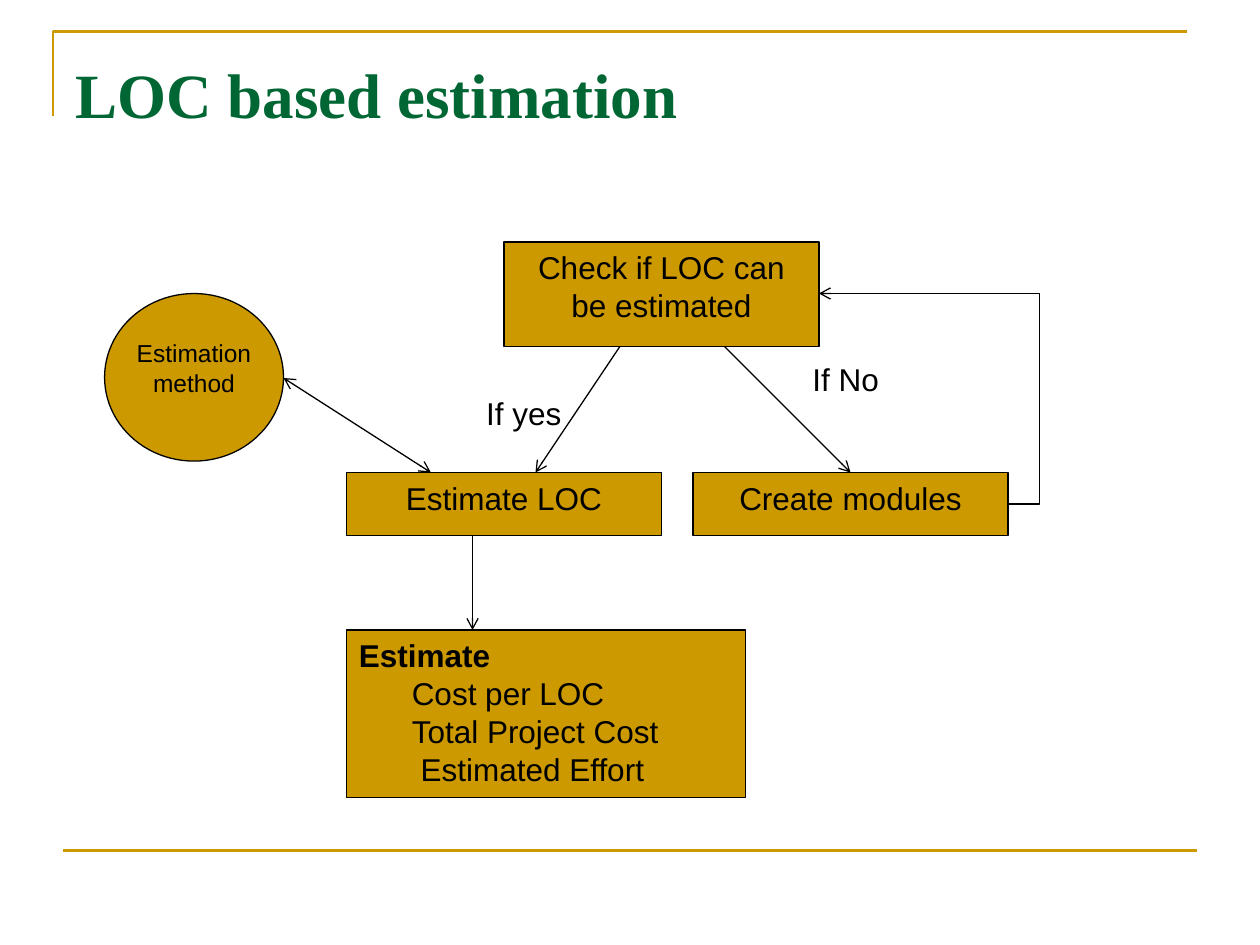
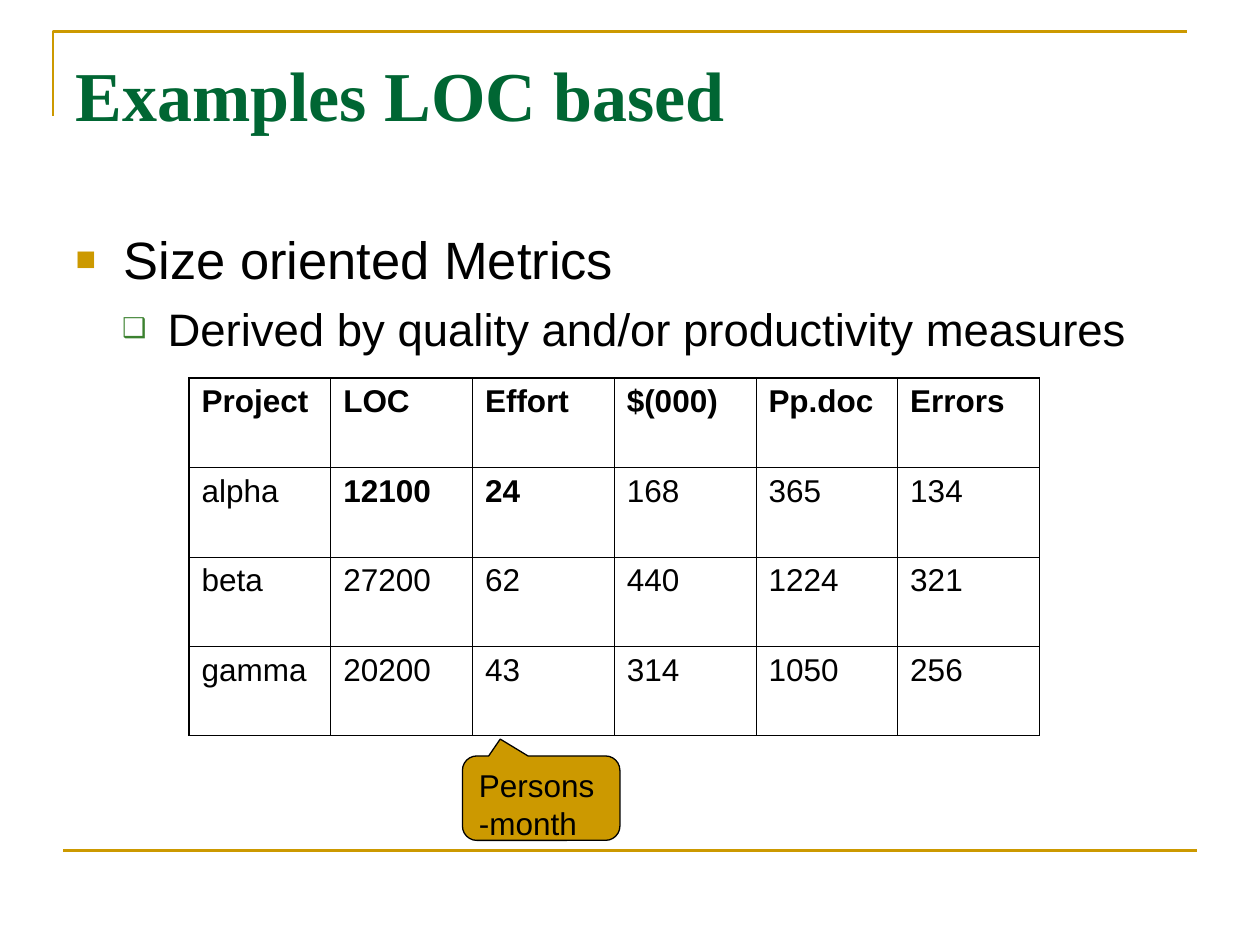
from lxml import etree
from pptx import Presentation
from pptx.dml.color import RGBColor
from pptx.enum.shapes import MSO_CONNECTOR, MSO_SHAPE
from pptx.enum.text import MSO_ANCHOR, MSO_AUTO_SIZE, PP_ALIGN
from pptx.oxml.ns import qn
from pptx.util import Inches, Pt

RECT, OVAL = MSO_SHAPE.RECTANGLE, MSO_SHAPE.OVAL
CALLOUT = MSO_SHAPE.ROUNDED_RECTANGULAR_CALLOUT
STRAIGHT, ELBOW = MSO_CONNECTOR.STRAIGHT, MSO_CONNECTOR.ELBOW
TOP, NO_FIT = MSO_ANCHOR.TOP, MSO_AUTO_SIZE.NONE
LEFT, CENTER, JUSTIFY = PP_ALIGN.LEFT, PP_ALIGN.CENTER, PP_ALIGN.JUSTIFY

GOLD, GREEN, LEAF, BLACK = "CC9900", "006633", "3B812F", "000000"
SANS, SERIF = "Arial", "Times New Roman"
THIN, THICK = 0.45, 1.08

ROWS = [
    ["Project", "LOC", "Effort", "$(000)", "Pp.doc", "Errors"],
    ["alpha", "12100", "24", "168", "365", "134"],
    ["beta", "27200", "62", "440", "1224", "321"],
    ["gamma", "20200", "43", "314", "1050", "256"],
]
BOLD = set(ROWS[0]) | {"12100", "24"}


def rgb(code):
    return RGBColor.from_string(code)


def node(parent, tag, **attrs):
    """Append a drawing element and return it."""
    item = etree.SubElement(parent, qn(tag))
    for name, value in attrs.items():
        item.set(name, str(value))
    return item


def put(target, values):
    for name, value in values.items():
        setattr(target, name, value)


def place(shape, box):
    put(shape, dict(zip(("left", "top", "width", "height"), map(Inches, box))))


def write(frame, lines, size=18, color=BLACK, face=SANS, align=LEFT, wrap=False, inset=0.05):
    """Fill a text frame with lines of (text, bold) or plain text."""
    put(frame, {"word_wrap": wrap, "auto_size": NO_FIT, "vertical_anchor": TOP,
                "margin_left": Inches(0.1), "margin_right": Inches(0.1),
                "margin_top": Inches(inset), "margin_bottom": Inches(0.05)})
    for i, line in enumerate(lines):
        text, bold = line if isinstance(line, tuple) else (line, False)
        para = frame.add_paragraph() if i else frame.paragraphs[0]
        para.alignment = align
        run = para.add_run()
        run.text = text
        put(run.font, {"name": face, "size": Pt(size), "bold": bold})
        run.font.color.rgb = rgb(color)


def stroke(line, color=BLACK, width=0.75):
    line.color.rgb = rgb(color)
    line.width = Pt(width)


def block(slide, kind, box, lines, **style):
    shape = slide.shapes.add_shape(kind, *map(Inches, box))
    shape.shadow.inherit = False
    shape.fill.solid()
    shape.fill.fore_color.rgb = rgb(GOLD)
    stroke(shape.line)
    write(shape.text_frame, lines, **style)
    return shape


def label(slide, box, text):
    write(slide.shapes.add_textbox(*map(Inches, box)).text_frame, [text])


def link(slide, start, end, kind=STRAIGHT, ends=(), color=BLACK, width=0.75):
    """Draw a connector; ends names the ends that carry an arrowhead."""
    wire = slide.shapes.add_connector(kind, *map(Inches, start + end))
    stroke(wire.line, color, width)
    node(wire._element.spPr, "a:effectLst")
    for tag in ends:
        node(wire.line._get_or_add_ln(), tag, type="arrow")
    return wire


def bend(wire, ratio):
    """Move the middle leg of an elbow connector."""
    guides = wire._element.spPr.find(qn("a:prstGeom")).get_or_add_avLst()
    node(guides, "a:gd", name="adj1", fmla=f"val {round(ratio * 100000)}")


def start(deck, layout, title, box, size):
    """Add a slide with the gold frame and a title."""
    slide = deck.slides.add_slide(deck.slide_layouts[layout])
    pen = slide.shapes.build_freeform(Inches(0.42), Inches(0.92))
    pen.add_line_segments([(Inches(0.42), Inches(0.25)), (Inches(9.42), Inches(0.25))], close=False)
    corner = pen.convert_to_shape()
    corner.shadow.inherit = False
    corner.fill.background()
    stroke(corner.line, GOLD, 1.5)
    link(slide, (0.5, 6.75), (9.5, 6.75), color=GOLD, width=1.5)
    head = slide.shapes.title
    place(head, box)
    write(head.text_frame, [(title, True)], size, GREEN, SERIF, wrap=True, inset=0.11)
    return slide


def bullet(para, sign, color, scale, indent, hang, before):
    para.space_before = Pt(before)
    props = para._p.get_or_add_pPr()
    props.set("marL", str(Inches(indent)))
    props.set("indent", str(-Inches(hang)))
    node(node(props, "a:buClr"), "a:srgbClr", val=color)
    node(props, "a:buSzPct", val=scale * 1000)
    node(props, "a:buFont", typeface=SANS)
    node(props, "a:buChar", char=sign)


def border(cell, widths):
    props = cell._tc.get_or_add_tcPr()
    for i, (side, width) in enumerate(widths.items()):
        edge = etree.Element(qn("a:ln" + side), w=str(Pt(width)))
        node(node(edge, "a:solidFill"), "a:srgbClr", val=BLACK)
        props.insert(i, edge)


def grid(slide, box, rows):
    table = slide.shapes.add_table(len(rows), len(rows[0]), *map(Inches, box)).table
    put(table, {"first_row": False, "horz_banding": False})
    for r, row in enumerate(rows):
        for c, text in enumerate(row):
            cell = table.cell(r, c)
            cell.fill.background()
            write(cell.text_frame, [(text, text in BOLD)], wrap=True)
            cell.text_frame.paragraphs[0].space_before = Pt(4.5)
            border(cell, {"L": THIN if c else THICK, "R": THIN,
                          "T": THIN if r else THICK, "B": THIN})


def flow(deck):
    slide = start(deck, 5, "LOC based estimation", (0.5, 0.33, 9, 0.75), 36)
    block(slide, RECT, (4, 1.92, 2.5, 0.83), ["Check if LOC can", "be estimated"], align=CENTER)
    for left, text in ((2.75, "Estimate LOC"), (5.5, "Create modules")):
        block(slide, RECT, (left, 3.75, 2.5, 0.5), [text], align=CENTER)
    costs = block(slide, RECT, (2.75, 5, 3.17, 1.33),
                  [("Estimate", True), "Cost per LOC", "Total Project Cost", "Estimated Effort"])
    for para, indent in zip(costs.text_frame.paragraphs[1:], (0.42, 0.42, 0.49)):
        para._p.get_or_add_pPr().set("marL", str(Inches(indent)))
    block(slide, OVAL, (0.83, 2.33, 1.42, 1.33), ["Estimation", "method"],
          size=14, align=CENTER, inset=0.16)
    label(slide, (3.76, 3.08, 0.79, 0.4), "If yes")
    label(slide, (6.35, 2.81, 0.73, 0.4), "If No")
    tail = ("a:tailEnd",)
    for begin, end in (((4.92, 2.75), (4.25, 3.75)), ((5.75, 2.75), (6.75, 3.75)),
                       ((3.75, 4.25), (3.75, 5))):
        link(slide, begin, end, ends=tail)
    link(slide, (2.25, 3), (3.42, 3.75), ends=("a:headEnd",) + tail)
    bend(link(slide, (8, 4), (6.5, 2.33), ELBOW, tail), -0.25 / 1.5)


def metrics(deck):
    slide = start(deck, 1, "Examples LOC based", (0.5, 0.3, 9, 1.25), 40)
    body = slide.placeholders[1]
    place(body, (0.5, 1.75, 9, 4.95))
    write(body.text_frame, ["Size oriented Metrics",
                            "Derived by quality and/or productivity measures"],
          size=30, align=JUSTIFY, wrap=True)
    main_point, detail = body.text_frame.paragraphs
    detail.level = 1
    detail.runs[0].font.size = Pt(26)
    bullet(main_point, "■", GOLD, 65, 0.38, 0.38, 7.5)
    bullet(detail, "❑", LEAF, 60, 0.73, 0.36, 6.5)
    grid(slide, (1.5, 3, 6.75, 2.84), ROWS)
    note = block(slide, CALLOUT, (3.67, 6, 1.25, 0.67), ["Persons", "-month"])
    for i, value in enumerate((-0.26, -0.7, 0.17)):
        note.adjustments[i] = value


def main():
    deck = Presentation()
    put(deck, {"slide_width": Inches(10), "slide_height": Inches(7.5)})
    flow(deck)
    metrics(deck)
    deck.save("out.pptx")


if __name__ == "__main__":
    main()
